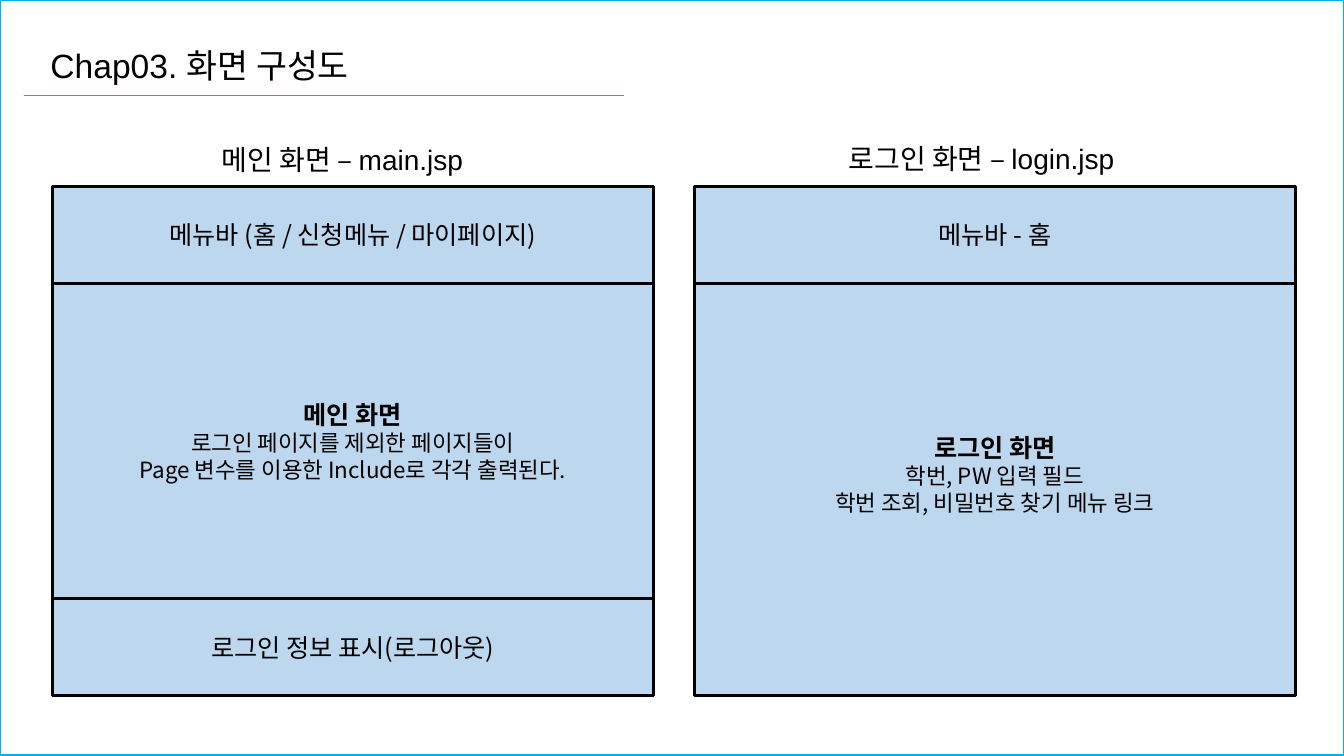
import pptx
import pptx.dml.color
import pptx.enum.shapes
import pptx.enum.text
import pptx.oxml
import pptx.oxml.ns
import pptx.util

Pt = pptx.util.Pt
RGBColor = pptx.dml.color.RGBColor
ALIGN = pptx.enum.text.PP_ALIGN
ANCHOR = pptx.enum.text.MSO_ANCHOR
RECTANGLE = pptx.enum.shapes.MSO_SHAPE.RECTANGLE

BLACK = RGBColor(0x00, 0x00, 0x00)
ACCENT = RGBColor(0x00, 0xB0, 0xF0)
PALE_BLUE = RGBColor(0xBD, 0xD7, 0xEE)
LATIN_FONT = "Arial"
KOREAN_FONT = "Noto Sans CJK KR"

# Content: each section is (height, space below the text, lines)
TITLE = "Chap03. 화면 구성도"
SCREENS = [
    {
        "caption": "메인 화면 – main.jsp",
        "caption_box": (151.2, 86.4, 198.72, 38.88),
        "panel_left": 37.44,
        "section_left": 37.44,
        "sections": [
            (69.12, 3.6, ["메뉴바 (홈 / 신청메뉴 / 마이페이지)"]),
            (225.36, 3.6, ["메인 화면", "로그인 페이지를 제외한 페이지들이",
                           "Page 변수를 이용한 Include로 각각 출력된다."]),
            (69.12, 3.6, ["로그인 정보 표시(로그아웃)"]),
        ],
    },
    {
        "caption": "로그인 화면 – login.jsp",
        "caption_box": (599.04, 85.68, 220.32, 38.88),
        "panel_left": 495.36,
        "section_left": 496.08,
        "sections": [
            (69.12, 3.6, ["메뉴바 - 홈"]),
            (294.48, 25, ["로그인 화면", "학번, PW 입력 필드",
                          "학번 조회, 비밀번호 찾기 메뉴 링크"]),
        ],
    },
]
SLIDE_WIDTH, SLIDE_HEIGHT = 960, 540
PANEL_TOP, PANEL_WIDTH, PANEL_HEIGHT = 133.2, 429.12, 363.6


def write_text(paragraph, text, size=18, font=KOREAN_FONT, bold=False,
               align=ALIGN.LEFT, spacing=1.0):
    paragraph.alignment = align
    paragraph.line_spacing = spacing
    run = paragraph.add_run()
    run.text = text
    run.font.size = Pt(size)
    run.font.bold = bold
    run.font.color.rgb = BLACK
    run.font.name = font
    # East Asian font follows the Latin font element
    east_asian = pptx.oxml.parse_xml(
        f'<a:ea {pptx.oxml.ns.nsdecls("a")} typeface="{KOREAN_FONT}"/>')
    run.font.fill
    run._r.get_or_add_rPr().find(pptx.oxml.ns.qn("a:latin")).addnext(east_asian)


def add_rectangle(slide, box, line_color, line_width, fill=None):
    shape = slide.shapes.add_shape(RECTANGLE, *map(Pt, box))
    shape.shadow.inherit = False
    if fill is None:
        shape.fill.background()
    else:
        shape.fill.solid()
        shape.fill.fore_color.rgb = fill
    shape.line.color.rgb = line_color
    shape.line.width = Pt(line_width)
    return shape


def add_title(slide):
    title = slide.shapes.title
    title.left, title.top, title.width, title.height = map(
        Pt, (28.8, 28.8, 249.84, 36))
    frame = title.text_frame
    frame.word_wrap = True
    frame.auto_size = pptx.enum.text.MSO_AUTO_SIZE.NONE
    frame.vertical_anchor = ANCHOR.TOP
    write_text(frame.paragraphs[0], TITLE, size=24, font=LATIN_FONT)

    # Rule under the title
    rule = slide.shapes.add_connector(
        pptx.enum.shapes.MSO_CONNECTOR.STRAIGHT,
        Pt(17.28), Pt(68), Pt(445.68), Pt(68))
    rule.line.color.rgb = ACCENT
    rule.line.width = Pt(0.5)
    rule._element.spPr.append(pptx.oxml.parse_xml(
        f'<a:effectLst {pptx.oxml.ns.nsdecls("a")}/>'))


def add_screen(slide, screen):
    # Panel and caption
    add_rectangle(slide, (screen["panel_left"], PANEL_TOP, PANEL_WIDTH,
                          PANEL_HEIGHT), ACCENT, 1, PALE_BLUE)
    caption = slide.shapes.add_textbox(*map(Pt, screen["caption_box"]))
    caption.text_frame.word_wrap = True
    write_text(caption.text_frame.paragraphs[0], screen["caption"],
               size=20, font=LATIN_FONT, spacing=1.5)

    # Stacked sections
    top = PANEL_TOP
    for height, space_below, lines in screen["sections"]:
        section = add_rectangle(
            slide, (screen["section_left"], top, PANEL_WIDTH, height),
            BLACK, 2.25, PALE_BLUE)
        frame = section.text_frame
        frame.word_wrap = True
        frame.vertical_anchor = ANCHOR.MIDDLE
        frame.margin_bottom = Pt(space_below)
        for index, text in enumerate(lines):
            paragraph = frame.add_paragraph() if index else frame.paragraphs[0]
            write_text(paragraph, text, size=16 if index else 18,
                       bold=index == 0 and len(lines) > 1, align=ALIGN.CENTER)
        top += height


def main():
    presentation = pptx.Presentation()
    presentation.slide_width = Pt(SLIDE_WIDTH)
    presentation.slide_height = Pt(SLIDE_HEIGHT)
    slide = presentation.slides.add_slide(presentation.slide_layouts[5])

    # Slide border, heading and screens
    add_rectangle(slide, (0, 0, SLIDE_WIDTH, 539.28), ACCENT, 1)
    add_title(slide)
    for screen in SCREENS:
        add_screen(slide, screen)
    presentation.save("out.pptx")


if __name__ == "__main__":
    main()
